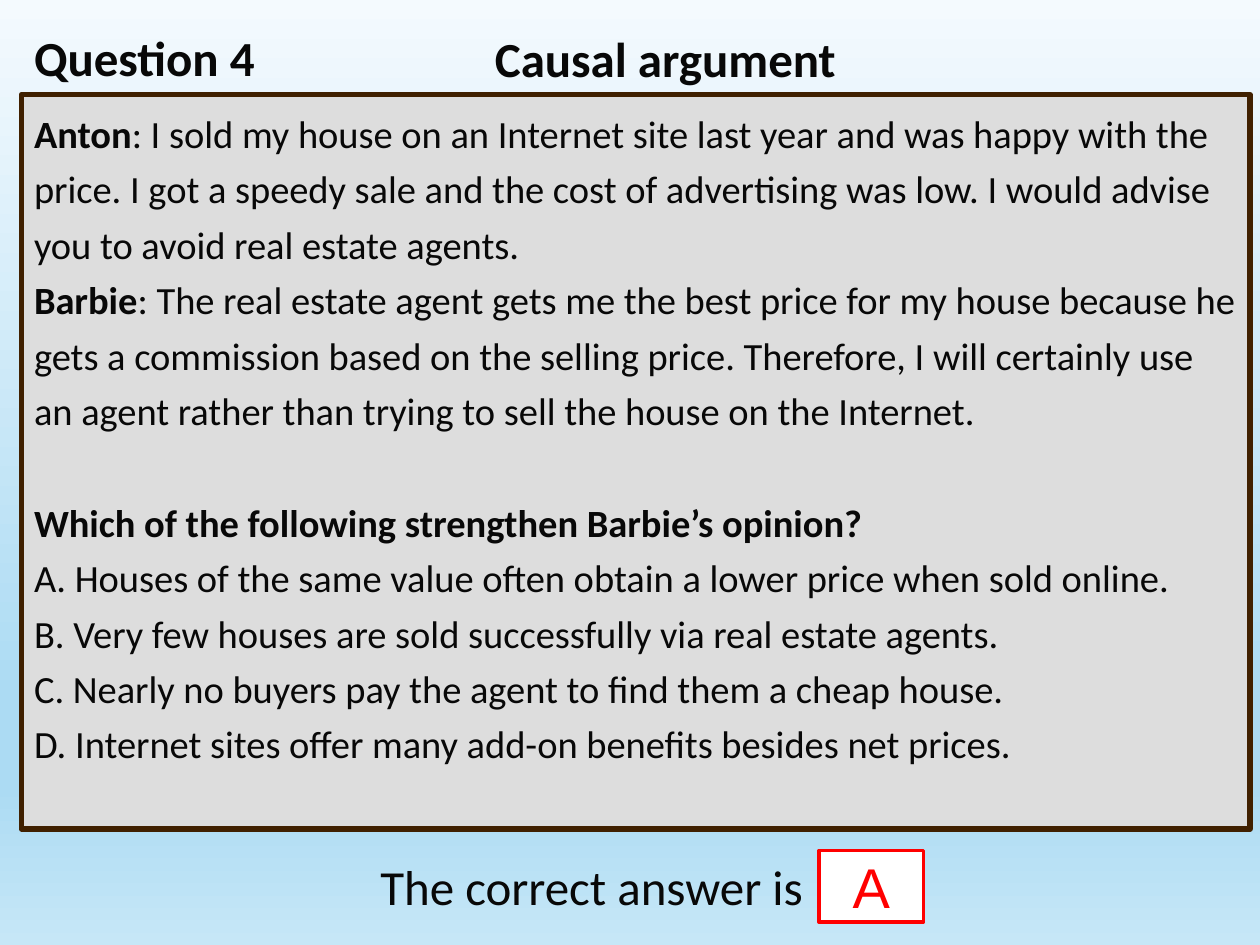
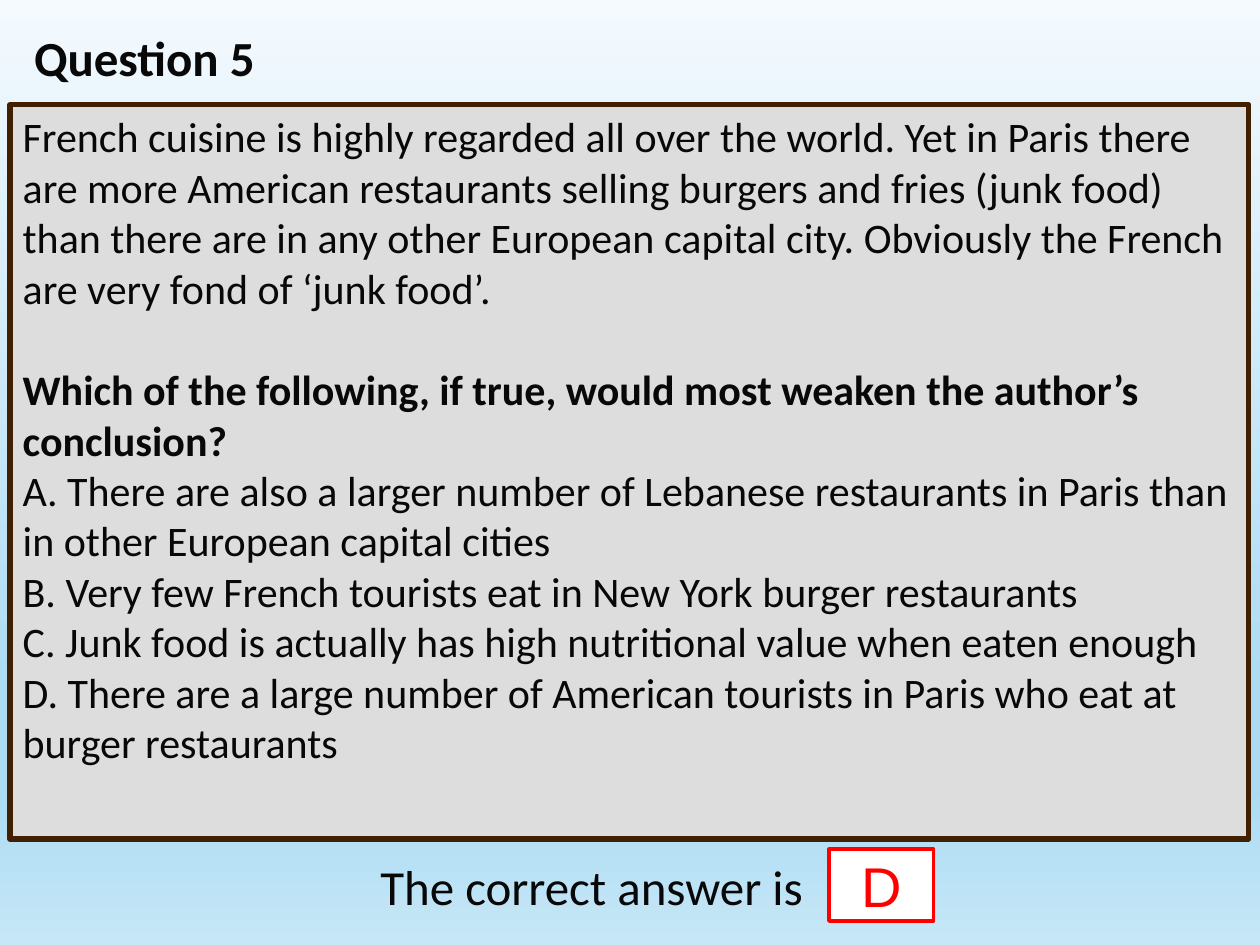
from dataclasses import dataclass

from lxml import etree
from pptx import Presentation
from pptx.dml.color import RGBColor
from pptx.enum.shapes import MSO_SHAPE
from pptx.enum.text import MSO_ANCHOR, MSO_AUTO_SIZE, PP_ALIGN
from pptx.oxml.ns import qn
from pptx.util import Pt

RECTANGLE = MSO_SHAPE.RECTANGLE
TOP, MIDDLE = MSO_ANCHOR.TOP, MSO_ANCHOR.MIDDLE
LEFT, CENTER = PP_ALIGN.LEFT, PP_ALIGN.CENTER
FIXED_SIZE = MSO_AUTO_SIZE.NONE

EMU_PER_PX = 9144  # 100 px to the inch
TITLE_AND_CONTENT = 1
LINE_HEIGHT = 1.22  # Calibri's line height relative to its type size


@dataclass(frozen=True)
class Theme:
    text: str = "080808"
    panel: str = "DDDDDD"
    panel_border: str = "402000"
    answer: str = "FF0000"
    answer_fill: str = "FFFFFF"
    sky: tuple = ((0, "F4FAFE"), (74, "ACDBF3"), (83, "ACDBF3"), (100, "C6E7F7"))
    font: str = "Calibri"
    answer_font: str = "Arial"
    heading_size: int = 28
    answer_size: int = 32


THEME = Theme()


@dataclass
class Question:
    number: int
    passage: list  # (speaker, statement) pairs
    prompt: str
    options: list
    answer: str
    panel_box: tuple
    answer_at: tuple
    text_size: int
    line_spacing: float = 1.0
    topic: str = ""


QUESTIONS = [
    Question(
        number=4,
        topic="Causal argument",
        passage=[
            ("Anton", ": I sold my house on an Internet site last year and was happy "
             "with the price. I got a speedy sale and the cost of advertising was low. "
             "I would advise you to avoid real estate agents."),
            ("Barbie", ": The real estate agent gets me the best price for my house "
             "because he gets a commission based on the selling price. Therefore, I will "
             "certainly use an agent rather than trying to sell the house on the Internet."),
        ],
        prompt="Which of the following strengthen Barbie’s opinion?",
        options=[
            "A. Houses of the same value often obtain a lower price when sold online.",
            "B. Very few houses are sold successfully via real estate agents.",
            "C. Nearly no buyers pay the agent to find them a cheap house.",
            "D. Internet sites offer many add-on benefits besides net prices.",
        ],
        answer="A",
        panel_box=(17, 75, 975, 583),
        answer_at=(650, 675),
        text_size=22,
        line_spacing=1.2,
    ),
    Question(
        number=5,
        passage=[
            ("", "French cuisine is highly regarded all over the world. Yet in Paris there "
             "are more American restaurants selling burgers and fries (junk food) than "
             "there are in any other European capital city. Obviously the French are very "
             "fond of ‘junk food’."),
        ],
        prompt="Which of the following, if true, would most weaken the author’s conclusion?",
        options=[
            "A. There are also a larger number of Lebanese restaurants in Paris than "
            "in other European capital cities",
            "B. Very few French tourists eat in New York burger restaurants",
            "C. Junk food is actually has high nutritional value when eaten enough",
            "D. There are a large number of American tourists in Paris who eat at "
            "burger restaurants",
        ],
        answer="D",
        panel_box=(8, 83, 983, 583),
        answer_at=(658, 674),
        text_size=24,
    ),
]


def px(*lengths):
    return [length * EMU_PER_PX for length in lengths]


def place(shape, box):
    shape.left, shape.top, shape.width, shape.height = px(*box)


def style_font(font, size, bold=False, color=THEME.text, name=THEME.font):
    font.name, font.size, font.bold = name, Pt(size), bold
    font.color.rgb = RGBColor.from_string(color)


def style_box(shape, fill, border, border_width):
    shape.fill.solid()
    shape.fill.fore_color.rgb = RGBColor.from_string(fill)
    shape.line.color.rgb = RGBColor.from_string(border)
    shape.line.width = Pt(border_width)


def paint_sky(master):
    """Give every slide the four-stop vertical gradient."""
    fill = master.background.fill
    fill.gradient()
    fill.gradient_angle = 270
    stops = next(master.background._cSld.iter(qn("a:gsLst")))
    for stop in list(stops):
        stops.remove(stop)
    for percent, color in THEME.sky:
        stop = etree.SubElement(stops, qn("a:gs"), pos=str(percent * 1000))
        etree.SubElement(stop, qn("a:srgbClr"), val=color)


def set_heading(shape, text, bold):
    frame = shape.text_frame
    frame.auto_size = FIXED_SIZE
    frame.word_wrap = True
    frame.vertical_anchor = TOP
    heading = frame.paragraphs[0]
    heading.text = text
    heading.alignment = LEFT
    style_font(heading.font, THEME.heading_size, bold)


def add_heading(slide, text, box, bold=False):
    set_heading(slide.shapes.add_textbox(*px(*box)), text, bold)


def remove_bullet(paragraph):
    properties = paragraph._p.get_or_add_pPr()
    properties.set("marL", "0")
    properties.set("indent", "0")
    etree.SubElement(properties, qn("a:buNone"))


def fill_panel(panel, question):
    """Write passage, prompt and options into the bordered body placeholder."""
    place(panel, question.panel_box)
    style_box(panel, THEME.panel, THEME.panel_border, 3)
    frame = panel.text_frame
    frame.auto_size = FIXED_SIZE
    frame.vertical_anchor = TOP
    gap = round(question.text_size * question.line_spacing * LINE_HEIGHT, 1)

    lines = [(speaker, statement, 0) for speaker, statement in question.passage]
    lines.append((question.prompt, "", gap))
    lines += [("", option, 0) for option in question.options]
    for index, (strong, plain, space_before) in enumerate(lines):
        paragraph = frame.add_paragraph() if index else frame.paragraphs[0]
        remove_bullet(paragraph)
        paragraph.line_spacing = question.line_spacing
        paragraph.space_before = Pt(space_before)
        style_font(paragraph.font, question.text_size, bold=not plain)
        for text in filter(None, (strong, plain)):
            run = paragraph.add_run()
            run.text = text
            if strong and plain:
                run.font.bold = text == strong


def add_answer(slide, question):
    left, top = question.answer_at
    add_heading(slide, "The correct answer is", (292, 675, 375, 57))
    answer_box = slide.shapes.add_shape(RECTANGLE, *px(left, top, 83, 57))
    answer_box.shadow.inherit = False
    style_box(answer_box, THEME.answer_fill, THEME.answer, 2)
    answer_box.text_frame.vertical_anchor = MIDDLE
    letter = answer_box.text_frame.paragraphs[0]
    letter.text = question.answer
    letter.alignment = CENTER
    style_font(letter.font, THEME.answer_size, color=THEME.answer, name=THEME.answer_font)


def add_question(deck, question):
    slide = deck.slides.add_slide(deck.slide_layouts[TITLE_AND_CONTENT])
    title, panel = slide.placeholders
    place(title, (17, 17, 200, 57))
    set_heading(title, f"Question {question.number}", bold=True)
    if question.topic:
        add_heading(slide, question.topic, (383, 18, 294, 57), bold=True)
    fill_panel(panel, question)
    add_answer(slide, question)


def main():
    deck = Presentation()
    deck.slide_width, deck.slide_height = px(1000, 750)
    paint_sky(deck.slide_master)
    for question in QUESTIONS:
        add_question(deck, question)
    deck.save("out.pptx")


if __name__ == "__main__":
    main()
